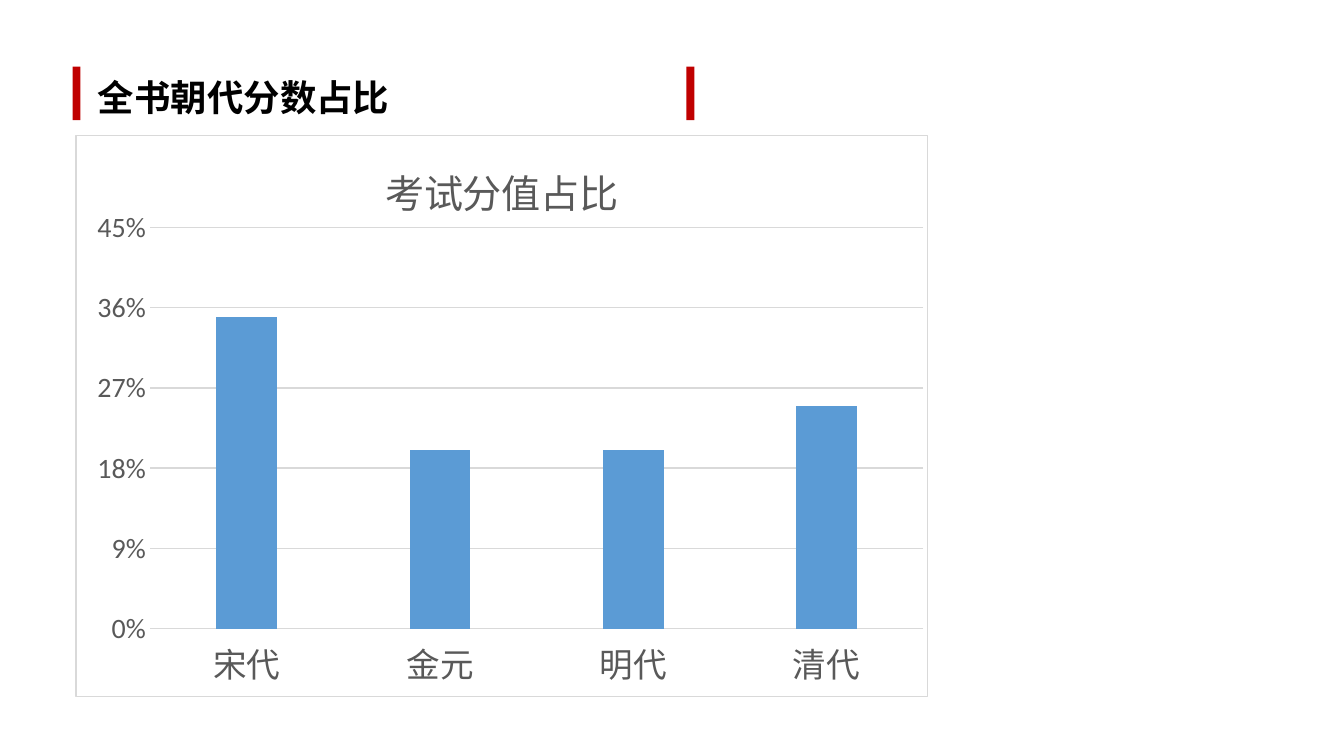
from pptx import Presentation
from pptx import util as u
from pptx.chart import data
from pptx.dml.color import RGBColor
from pptx.enum import chart as ct, shapes, text
from pptx.oxml import parse_xml
from pptx.oxml.ns import nsdecls, qn
from lxml import etree

# Content
HEAD = "全书朝代分数占比"
NAME = "考试分值占比"
SHARES = {"宋代": 0.35, "金元": 0.2, "明代": 0.2, "清代": 0.25}

# Style
RED = RGBColor(0xC0, 0x00, 0x00)
BLUE = RGBColor(0x5B, 0x9B, 0xD5)
BLACK = RGBColor(0x00, 0x00, 0x00)
GREY = RGBColor(0x59, 0x59, 0x59)
PALE = RGBColor(0xD9, 0xD9, 0xD9)
HAN = "Noto Sans CJK SC"

# Places in cm
BARS = (1.83, 17.3)
HEAD_BOX = (2.34, 1.57, 14.48, 1.57)
CHART_BOX = (1.9, 3.4, 21.49, 14.17)
PLOT = {"x": 0.087, "y": 0.164, "w": 0.908, "h": 0.715}


def style(font, size, color, face=HAN, bold=False):
    font.size = u.Pt(size)
    font.bold = bold
    font.color.rgb = color
    font.name = face
    latin = font._element.find(".//" + qn("a:latin"))
    far = etree.Element(qn("a:ea"), typeface=face)
    latin.addnext(far)


def place(box):
    return [u.Cm(n) for n in box]


def rule(line):
    line.color.rgb = PALE
    line.width = u.Pt(1)


deck = Presentation()
deck.slide_width, deck.slide_height = u.Cm(33.87), u.Cm(19.05)
slide = deck.slides.add_slide(deck.slide_layouts[6])

# Red marks beside the heading
for left in BARS:
    bar = slide.shapes.add_shape(
        shapes.MSO_SHAPE.RECTANGLE, *place((left, 1.68, 0.2, 1.35)))
    bar.shadow.inherit = False
    bar.fill.solid()
    bar.fill.fore_color.rgb = RED
    bar.line.fill.background()

# Heading
frame = slide.shapes.add_textbox(*place(HEAD_BOX)).text_frame
frame.word_wrap = True
frame.vertical_anchor = text.MSO_ANCHOR.BOTTOM
frame.margin_left = frame.margin_right = u.Cm(0.13)
frame.margin_top = frame.margin_bottom = u.Cm(0.13)
para = frame.paragraphs[0]
para.text = HEAD
para.line_spacing = 0.9
style(para.font, 26, BLACK, bold=True)

# Column chart
table = data.CategoryChartData(number_format="0%")
table.categories = list(SHARES)
table.add_series(NAME, list(SHARES.values()))
chart = slide.shapes.add_chart(
    ct.XL_CHART_TYPE.COLUMN_CLUSTERED, *place(CHART_BOX), table).chart
style(chart.font, 10, BLACK, "Arial")
chart.has_legend = False
chart.has_title = True
title = chart.chart_title
para = title.text_frame.paragraphs[0]
para.text = NAME
style(para.font, 28, GREY)
title.element.find(qn("c:overlay")).set("val", "1")

plot = chart.plots[0]
plot.gap_width, plot.overlap = 219, -27
plot.vary_by_categories = False
fill = plot.series[0].format.fill
fill.solid()
fill.fore_color.rgb = BLUE

# Axes
cat, val = chart.category_axis, chart.value_axis
for axis, size, face in ((cat, 24, HAN), (val, 20, "Calibri")):
    axis.major_tick_mark = axis.minor_tick_mark = ct.XL_TICK_MARK.NONE
    style(axis.tick_labels.font, size, GREY, face)
cat.tick_label_position = ct.XL_TICK_LABEL_POSITION.LOW
rule(cat.format.line)
val.minimum_scale, val.maximum_scale, val.major_unit = 0, 0.45, 0.09
val.tick_labels.number_format = "0%"
val.tick_labels.number_format_is_linked = False
val.format.line.fill.background()
val.has_major_gridlines = True
rule(val.major_gridlines.format.line)

# Inner plot area
area = chart.element.find(".//" + qn("c:plotArea"))
for old in area.findall(qn("c:layout")):
    area.remove(old)
modes = "".join(f'<c:{k}Mode val="edge"/>' for k in "xy")
sizes = "".join(f'<c:{k} val="{v}"/>' for k, v in PLOT.items())
area.insert(0, parse_xml(
    f'<c:layout {nsdecls("c")}><c:manualLayout>'
    f'<c:layoutTarget val="inner"/>{modes}{sizes}'
    '</c:manualLayout></c:layout>'))

# White chart ground with a pale border
chart.element.find(qn("c:chart")).addnext(parse_xml(
    f'<c:spPr {nsdecls("c", "a")}>'
    '<a:solidFill><a:srgbClr val="FFFFFF"/></a:solidFill>'
    f'<a:ln w="{u.Pt(1)}"><a:solidFill><a:srgbClr val="{PALE}"/>'
    '</a:solidFill></a:ln></c:spPr>'))

deck.save("out.pptx")
